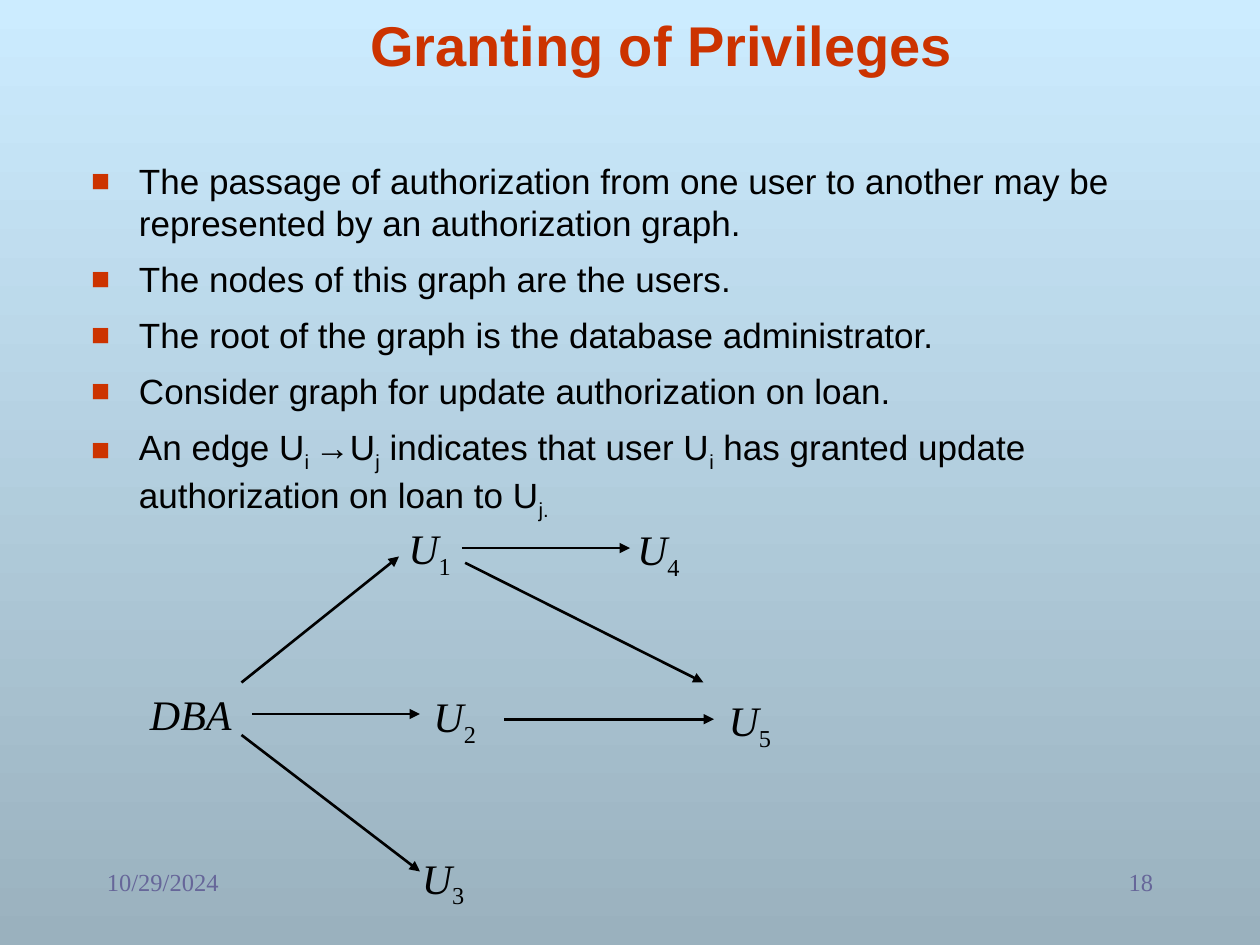
from lxml import etree
from pptx import Presentation
from pptx.dml.color import RGBColor
from pptx.enum.shapes import MSO_CONNECTOR
from pptx.enum.text import MSO_ANCHOR, MSO_AUTO_SIZE, PP_ALIGN
from pptx.oxml.ns import qn
from pptx.util import Inches, Pt

STRAIGHT = MSO_CONNECTOR.STRAIGHT
BOTTOM, TOP = MSO_ANCHOR.BOTTOM, MSO_ANCHOR.TOP
FIT_TEXT = MSO_AUTO_SIZE.SHAPE_TO_FIT_TEXT
LEFT, CENTER, RIGHT = PP_ALIGN.LEFT, PP_ALIGN.CENTER, PP_ALIGN.RIGHT

BLACK = RGBColor(0x00, 0x00, 0x00)
RED = RGBColor(0xCC, 0x33, 0x00)
VIOLET = RGBColor(0x66, 0x66, 0x99)
SKY = RGBColor(0xCC, 0xEC, 0xFF)
SLATE = RGBColor(0x9A, 0xB1, 0xBE)

COLUMNS, ROWS = 120, 90
SLIDE_WIDTH, SLIDE_HEIGHT = Inches(10), Inches(7.5)

TITLE_FORMAT = {"name": "Arial", "size": Pt(32), "bold": True}
BODY_FORMAT = {"name": "Arial", "size": Pt(20)}
NODE_FORMAT = {"name": "Times New Roman", "size": Pt(24), "italic": True}
FOOTER_FORMAT = {"name": "Times New Roman", "size": Pt(14)}

# Odd-numbered pieces of each entry are subscripts.
BULLETS = [
    ["The passage of authorization from one user to another may be "
     "represented by an authorization graph."],
    ["The nodes of this graph are the users."],
    ["The root of the graph is the database administrator."],
    ["Consider graph for update authorization on loan."],
    ["An edge U", "i ", "→U", "j", " indicates that user U", "i",
     " has granted update authorization on loan to U", "j."],
]
NODES = [
    (["U", "1"], 37.7, 49.2, 6.6),
    (["U", "4"], 59.5, 49.3, 6.6),
    (["U", "2"], 40.1, 65.2, 6.6),
    (["U", "5"], 68.2, 65.6, 6.6),
    (["U", "3"], 39, 80.6, 6.6),
    (["DBA"], 13.1, 65, 10.2),
]
GRANTS = [
    (23, 65, 38, 53),
    (44, 52.2, 60, 52.2),
    (24, 68, 40, 68),
    (23, 70, 40, 83),
    (48, 68.5, 68, 68.5),
    (44.3, 53.6, 67, 65),
]


def grid_x(column):
    return round(SLIDE_WIDTH * column / COLUMNS)


def grid_y(row):
    return round(SLIDE_HEIGHT * row / ROWS)


def paint_background(slide):
    fill = slide.background.fill
    fill.gradient()
    fill.gradient_angle = 270
    for stop, color in zip(fill.gradient_stops, (SKY, SLATE)):
        stop.color.rgb = color


def add_pieces(paragraph, pieces, text_format, color):
    for index, piece in enumerate(pieces):
        run = paragraph.add_run()
        run.text = piece
        for name, value in text_format.items():
            setattr(run.font, name, value)
        run.font.color.rgb = color
        if index % 2:
            run.font.italic = False
            run.font._element.set("baseline", "-25000")


def add_text(slide, area, pieces, text_format, color,
             align=LEFT, anchor=TOP, wrap=True):
    column, row, columns, rows = area
    box = slide.shapes.add_textbox(
        grid_x(column), grid_y(row), grid_x(columns), grid_y(rows))
    frame = box.text_frame
    frame.word_wrap = wrap
    frame.vertical_anchor = anchor
    if not wrap:
        frame.auto_size = FIT_TEXT
    paragraph = frame.paragraphs[0]
    paragraph.alignment = align
    add_pieces(paragraph, pieces, text_format, color)
    return frame


def set_bullet(paragraph):
    properties = paragraph._p.get_or_add_pPr()
    indent = Inches(0.38)
    properties.set("marL", str(indent))
    properties.set("indent", str(-indent))
    color = etree.SubElement(properties, qn("a:buClr"))
    etree.SubElement(color, qn("a:srgbClr"), val=str(RED))
    etree.SubElement(properties, qn("a:buSzPct"), val="90000")
    etree.SubElement(properties, qn("a:buFont"), typeface="Arial")
    etree.SubElement(properties, qn("a:buChar"), char="■")


def add_bullets(slide, area):
    frame = add_text(slide, area, BULLETS[0], BODY_FORMAT, BLACK)
    set_bullet(frame.paragraphs[0])
    for pieces in BULLETS[1:]:
        paragraph = frame.add_paragraph()
        set_bullet(paragraph)
        paragraph.space_before = Pt(8)
        add_pieces(paragraph, pieces, BODY_FORMAT, BLACK)


def add_grant(slide, start_column, start_row, end_column, end_row):
    arrow = slide.shapes.add_connector(
        STRAIGHT, grid_x(start_column), grid_y(start_row),
        grid_x(end_column), grid_y(end_row))
    arrow.line.color.rgb = BLACK
    arrow.line.width = Pt(1.5)
    etree.SubElement(arrow.line._get_or_add_ln(), qn("a:tailEnd"), type="triangle")
    etree.SubElement(arrow._element.spPr, qn("a:effectLst"))


def main():
    presentation = Presentation()
    presentation.slide_width = SLIDE_WIDTH
    presentation.slide_height = SLIDE_HEIGHT
    slide = presentation.slides.add_slide(presentation.slide_layouts[6])
    paint_background(slide)
    add_text(slide, (10, 0, 106, 8), ["Granting of Privileges"],
             TITLE_FORMAT, RED, CENTER, BOTTOM)
    add_bullets(slide, (7.5, 14.6, 103, 64))
    for grant in GRANTS:
        add_grant(slide, *grant)
    for pieces, column, row, columns in NODES:
        add_text(slide, (column, row, columns, 6), pieces,
                 NODE_FORMAT, BLACK, wrap=False)
    add_text(slide, (86, 82, 25, 6), ["18"], FOOTER_FORMAT, VIOLET, RIGHT)
    add_text(slide, (9, 82, 25, 6), ["10/29/2024"], FOOTER_FORMAT, VIOLET)
    presentation.save("out.pptx")


if __name__ == "__main__":
    main()
